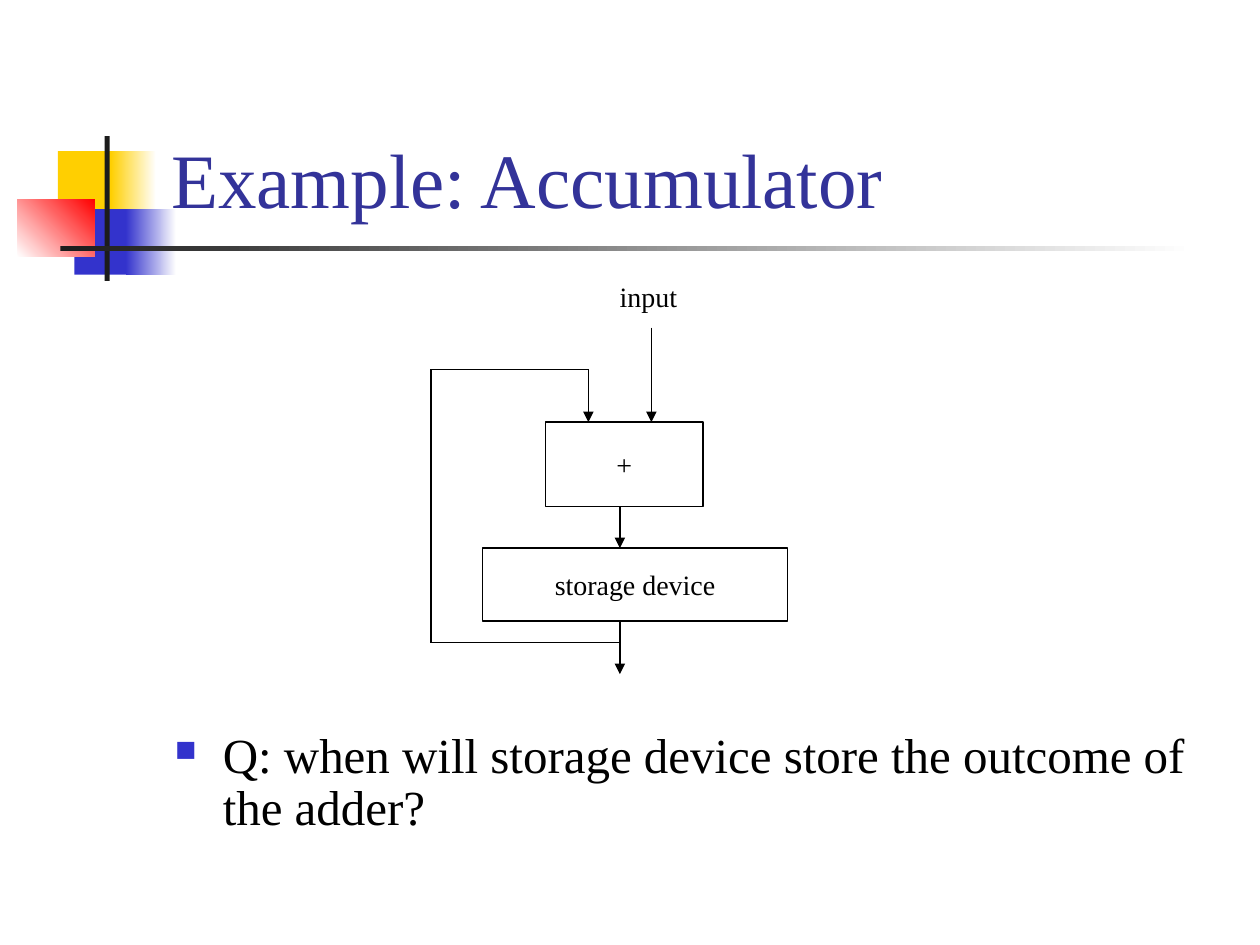
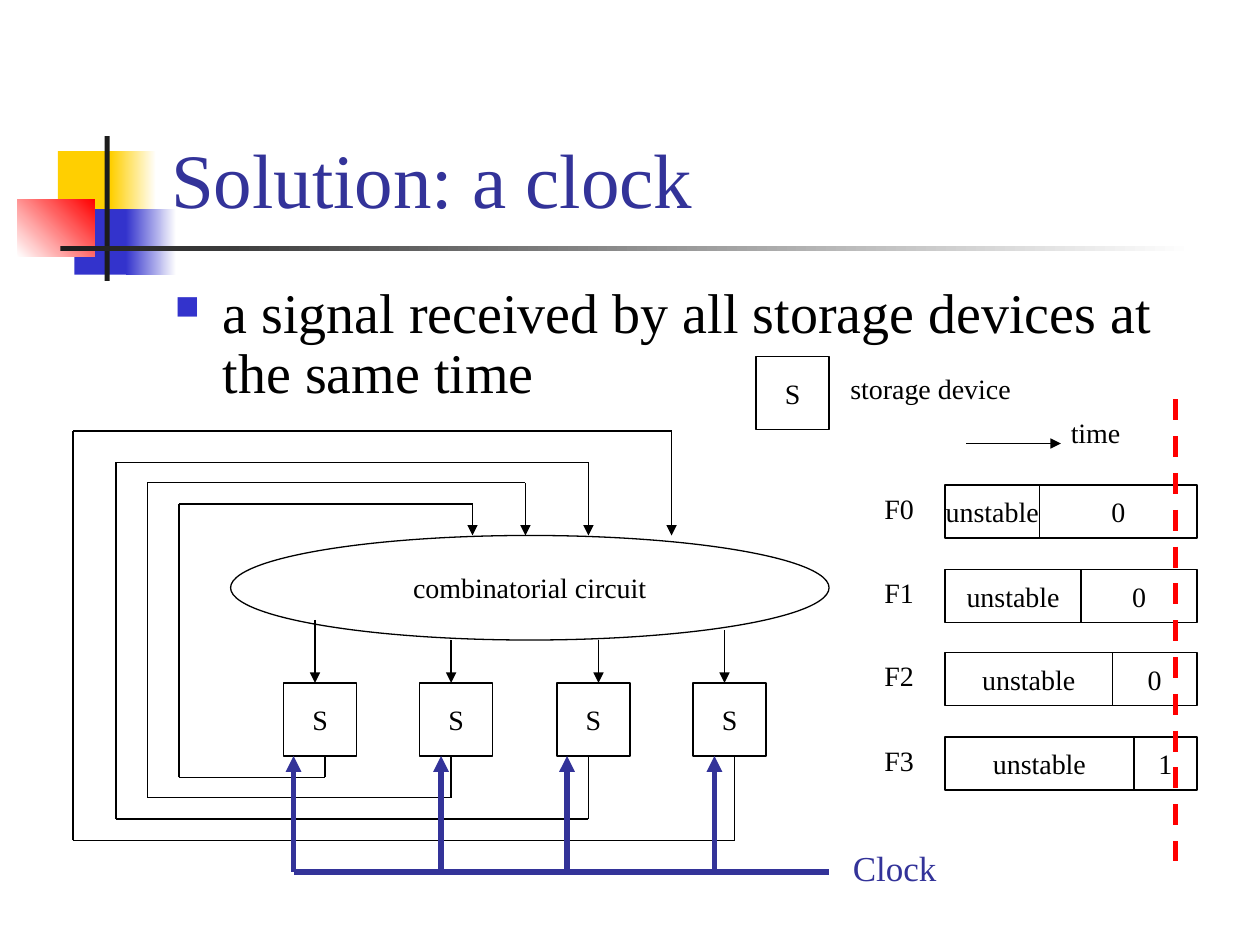
from itertools import pairwise
from lxml.etree import SubElement
from pptx import Presentation
from pptx.dml.color import RGBColor
from pptx.enum.dml import MSO_LINE
from pptx.enum.shapes import MSO_CONNECTOR, MSO_SHAPE
from pptx.enum.text import MSO_ANCHOR, MSO_AUTO_SIZE, PP_ALIGN
from pptx.oxml.ns import qn
from pptx.util import Inches, Pt

COLORS = {
    "black": "000000", "white": "FFFFFF", "title": "333399", "blue": "3333CC",
    "yellow": "FFCF01", "red": "FF0000", "rule": "1C1C1C",
}
RGB = {name: RGBColor.from_string(value) for name, value in COLORS.items()}
FONT = "Times New Roman"

# left, top, width, height, colours (two make a gradient), gradient angle
BAND = [
    (0.46, 1.2, 0.48, 0.52, ["yellow"], 0),
    (0.88, 1.2, 0.36, 0.52, ["yellow", "white"], 0),
    (0.59, 1.66, 0.46, 0.52, ["blue"], 0),
    (1, 1.66, 0.4, 0.52, ["blue", "white"], 0),
    (0.14, 1.58, 0.61, 0.46, ["white", "red"], 45),
    (0.83, 1.08, 0.04, 1.15, ["rule"], 0),
    (0.48, 1.95, 9, 0.04, ["rule", "white"], 0),
]
# title, bullet text, bullet size, bullet top, bullet height
SLIDES = [
    ("Example: Accumulator",
     "Q: when will storage device store the outcome of the adder?", 28, 5.75, 0.96),
    ("Solution: a clock",
     "a signal received by all storage devices at the same time", 32, 2.21, 1.13),
]


def add_text(s, text, box, size=16, color="black", outline=None, **frame):
    """Add a text box, or an outlined shape with centred text; return its paragraph."""
    at = [Inches(v) for v in box]
    if outline is None:
        sp = s.shapes.add_textbox(*at)
        frame = {"word_wrap": False, "auto_size": MSO_AUTO_SIZE.SHAPE_TO_FIT_TEXT} | frame
    else:
        sp = s.shapes.add_shape(outline, *at)
        sp.shadow.inherit = False
        sp.fill.background()
        sp.line.color.rgb = RGB["black"]
        sp.line.width = Pt(0.75)
        frame = {"word_wrap": False, "vertical_anchor": MSO_ANCHOR.MIDDLE} | frame
    tf = sp.text_frame
    for name, value in frame.items():
        setattr(tf, name, value)
    p = tf.paragraphs[0]
    p.alignment = PP_ALIGN.LEFT if outline is None else PP_ALIGN.CENTER
    r = p.add_run()
    r.text = text
    for name, value in {"name": FONT, "size": Pt(size)}.items():
        setattr(r.font, name, value)
    r.font.color.rgb = RGB[color]
    return p


def add_path(s, points, color="black", width=0.75, arrow=True, dash=None):
    """Join the points with straight connectors; the last one may end in an arrow."""
    for start, end in pairwise(points):
        ends = [Inches(v) for v in (*start, *end)]
        line = s.shapes.add_connector(MSO_CONNECTOR.STRAIGHT, *ends)
        line.line.color.rgb = RGB[color]
        line.line.width = Pt(width)
        if dash:
            line.line.dash_style = dash
        spPr = line._element.spPr
        if arrow and end == points[-1]:
            SubElement(spPr.find(qn("a:ln")), qn("a:tailEnd"), type="triangle")
        SubElement(spPr, qn("a:effectLst"))


prs = Presentation()
prs.slide_width, prs.slide_height = Inches(10), Inches(7.5)

# Shared band, title and bullet
for title, bullet, size, top, height in SLIDES:
    s = prs.slides.add_slide(prs.slide_layouts[6])
    for *box, colors, angle in BAND:
        sp = s.shapes.add_shape(MSO_SHAPE.RECTANGLE, *[Inches(v) for v in box])
        sp.shadow.inherit = False
        sp.line.fill.background()
        if len(colors) == 1:
            sp.fill.solid()
            sp.fill.fore_color.rgb = RGB[colors[0]]
        else:
            sp.fill.gradient()
            sp.fill.gradient_angle = angle
            for stop, color in zip(sp.fill.gradient_stops, colors):
                stop.color.rgb = RGB[color]
    fixed = {"word_wrap": True, "auto_size": MSO_AUTO_SIZE.NONE}
    add_text(s, title, (1.26, 0.23, 8.52, 1.6), 44, "title",
             vertical_anchor=MSO_ANCHOR.BOTTOM, **fixed)
    p = add_text(s, bullet, (1.29, top, 8.5, height), size, **fixed)
    p.line_spacing = 0.9
    pPr = p._p.get_or_add_pPr()
    pPr.set("marL", str(Inches(0.38)))
    pPr.set("indent", str(-Inches(0.38)))
    SubElement(SubElement(pPr, qn("a:buClr")), qn("a:srgbClr"), val=COLORS["blue"])
    SubElement(pPr, qn("a:buSzPct"), val="60000")
    SubElement(pPr, qn("a:buChar"), char="■")

accumulator, clock = prs.slides

# Accumulator: adder, storage device and feedback
s = accumulator
add_text(s, "storage device", (3.83, 4.35, 2.42, 0.58), outline=MSO_SHAPE.RECTANGLE)
add_text(s, "+", (4.33, 3.35, 1.25, 0.67), outline=MSO_SHAPE.RECTANGLE)
add_text(s, "input", (4.82, 2.17, 0.66, 0.37))
add_path(s, [(5.17, 2.6), (5.17, 3.35)])
add_path(s, [(4.92, 4.02), (4.92, 4.35)])
add_path(s, [(4.92, 4.93), (4.92, 5.35)])
add_path(s, [(4.92, 5.1), (3.42, 5.1), (3.42, 2.93), (4.67, 2.93), (4.67, 3.35)])

# Clock: storage devices around the circuit
s = clock
for left in (2.25, 3.33, 4.42, 5.5):
    add_text(s, "S", (left, 5.42, 0.58, 0.58), outline=MSO_SHAPE.RECTANGLE)
add_text(s, "combinatorial circuit", (1.83, 4.25, 4.75, 0.83), outline=MSO_SHAPE.OVAL)

# Feedback from each device: device x, bottom, left, top, circuit x
for out_x, bottom, left, top, in_x in [
    (2.58, 6.17, 1.42, 4, 3.75),
    (3.58, 6.33, 1.17, 3.83, 4.17),
    (4.67, 6.5, 0.92, 3.67, 4.67),
    (5.83, 6.67, 0.58, 3.42, 5.33),
]:
    add_path(s, [(out_x, 6), (out_x, bottom), (left, bottom),
                 (left, top), (in_x, top), (in_x, 4.25)])
for x, top in [(2.5, 4.92), (3.58, 5.08), (4.75, 5.08), (5.75, 5)]:
    add_path(s, [(x, top), (x, 5.42)])

# Clock signal
add_path(s, [(2.33, 6.92), (6.58, 6.92)], "title", 3, arrow=False)
for x in (2.33, 3.5, 4.5, 5.67):
    add_path(s, [(x, 6.92), (x, 6)], "title", 3)
add_text(s, "Clock", (6.67, 6.67, 1, 0.43), 20, "title", auto_size=MSO_AUTO_SIZE.NONE,
         word_wrap=True)

# Legend
add_text(s, "S", (6, 2.83, 0.58, 0.58), outline=MSO_SHAPE.RECTANGLE)
add_text(s, "storage device", (6.65, 2.9, 1.48, 0.37))

# Timing chart: each output is unstable, then settles
left, right = 7.5, 9.5
for i, (split, value) in enumerate([(8.25, "0"), (8.58, "0"), (8.83, "0"), (9, "1")]):
    top = round(3.85 + i * 2 / 3, 2)
    add_text(s, f"F{i}", (6.92, top, 0.44, 0.37))
    for text, start, end in [("unstable", left, split), (value, split, right)]:
        add_text(s, text, (start, top, end - start, 0.42), outline=MSO_SHAPE.RECTANGLE)
add_path(s, [(7.67, 3.52), (8.42, 3.52)])
add_text(s, "time", (8.4, 3.25, 0.6, 0.37))
add_path(s, [(9.33, 3.17), (9.33, 6.83)], "red", 3, arrow=False, dash=MSO_LINE.DASH)

prs.save("out.pptx")
